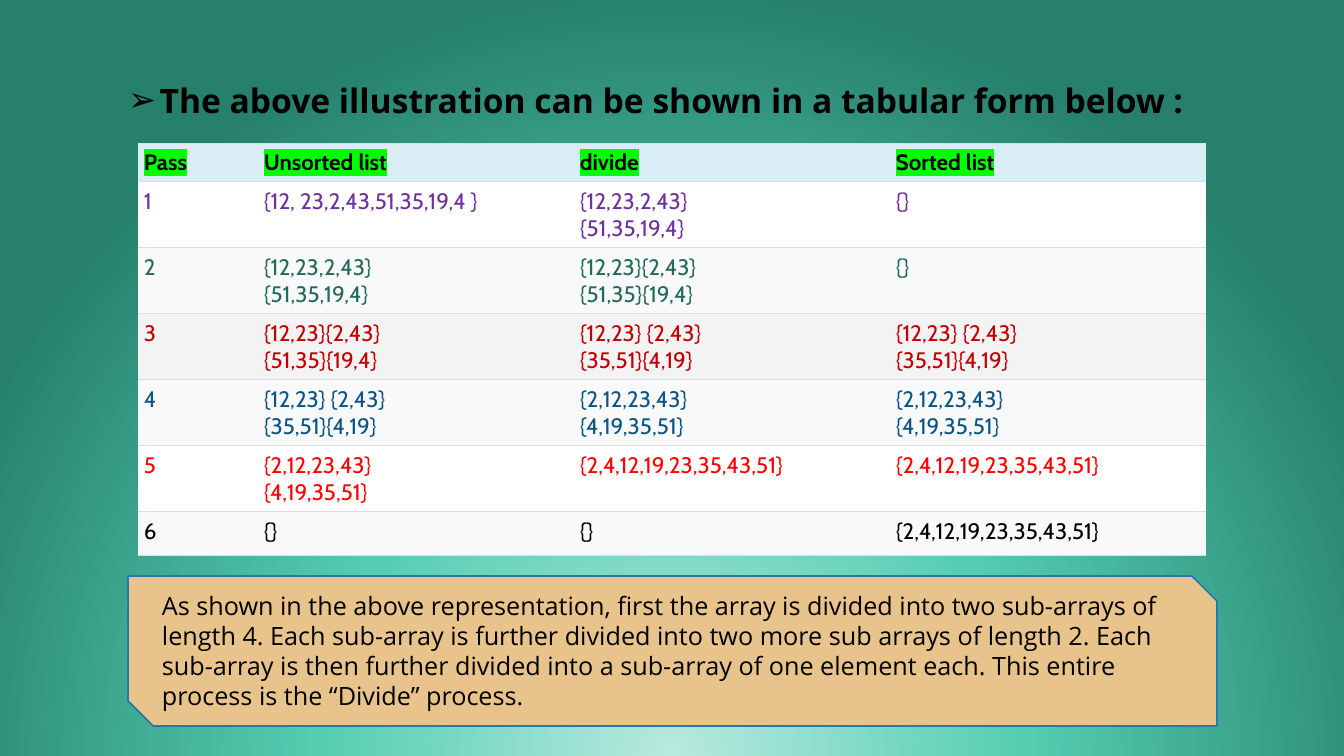
"""Build the slide that tabulates the passes of a merge sort."""
from dataclasses import dataclass

from pptx import Presentation, oxml, util as u
from pptx.dml.color import RGBColor
from pptx.enum import shapes, text
from pptx.oxml.ns import nsdecls, qn


@dataclass(frozen=True)
class Theme:
    ink: str = "000000"
    highlight: str = "00FF00"
    rule: str = "DDDDDD"
    header: str = "D9EDF7"
    note_fill: str = "E8C48C"
    note_line: str = "2379B0"
    backdrop: tuple = ((0, "B7EADE"), (46, "54CDB1"), (100, "26806C"))
    body_font: str = "Open Sans"
    table_font: str = "Cabin"
    title_size: int = 24
    note_size: int = 18
    table_size: int = 16


EMU_PER_PX = u.Inches(1) / 100.8
TITLE = "The above illustration can be shown in a tabular form below :"
NOTE = (
    "As shown in the above representation, first the array is divided into two "
    "sub-arrays of length 4. Each sub-array is further divided into two more sub "
    "arrays of length 2. Each sub-array is then further divided into a sub-array "
    "of one element each. This entire process is the “Divide” process."
)
HEADINGS = ["Pass", "Unsorted list", "divide", "Sorted list"]
HALVES = "{12,23,2,43}\n{51,35,19,4}"
QUARTERS = "{12,23}{2,43}\n{51,35}{19,4}"
SORTED_PAIRS = "{12,23} {2,43}\n{35,51}{4,19}"
SORTED_HALVES = "{2,12,23,43}\n{4,19,35,51}"
SORTED_ALL = "{2,4,12,19,23,35,43,51}"
EMPTY = "{}"
PASSES = [
    ("7030A0", "FFFFFF", ["{12, 23,2,43,51,35,19,4 }", HALVES, EMPTY]),
    ("206B5A", "F9F9F9", [HALVES, QUARTERS, EMPTY]),
    ("C00000", "F3F3F3", [QUARTERS, SORTED_PAIRS, SORTED_PAIRS]),
    ("0B5484", "F9F9F9", [SORTED_PAIRS, SORTED_HALVES, SORTED_HALVES]),
    ("FF0000", "FFFFFF", [SORTED_HALVES, SORTED_ALL, SORTED_ALL]),
    ("000000", "F9F9F9", [EMPTY, EMPTY, SORTED_ALL]),
]
COLUMN_WIDTHS = [120, 316, 316, 316]
ROW_HEIGHTS = [38, 66, 66, 66, 66, 66, 44]


def px(length):
    return u.Emu(round(length * EMU_PER_PX))


def xml(markup):
    return oxml.parse_xml(markup.replace(">", f" {nsdecls('a')}>", 1))


def write(frame, words, *, size, font, color, bold=False, highlight=None):
    para = frame.paragraphs[0]
    para.alignment = text.PP_ALIGN.LEFT
    for index, line in enumerate(words.split("\n")):
        if index:
            para.add_line_break()
        span = para.add_run()
        span.text = line
        span.font.size = u.Pt(size)
        span.font.name = font
        span.font.bold = bold
        span.font.color.rgb = RGBColor.from_string(color)
        if highlight:
            fill = span.font._element.find(qn("a:solidFill"))
            fill.addnext(xml(f'<a:highlight><a:srgbClr val="{highlight}"/></a:highlight>'))


class SlideBuilder:
    def __init__(self, deck, theme):
        self.theme = theme
        self.page = deck.slides.add_slide(deck.slide_layouts[5])

    def backdrop(self):
        self.page.background.fill.gradient()
        gradient = next(self.page.element.iter(qn("a:gradFill")))
        stops = "".join(
            f'<a:gs pos="{place * 1000}"><a:srgbClr val="{color}"/></a:gs>'
            for place, color in self.theme.backdrop
        )
        gradient.getparent().replace(gradient, xml(
            f'<a:gradFill rotWithShape="1"><a:gsLst>{stops}</a:gsLst><a:path path="circle">'
            '<a:fillToRect l="50000" t="130000" r="50000" b="-30000"/></a:path></a:gradFill>'
        ))

    def title(self, words, left, top, width, height):
        box = self.page.shapes.title
        box.left, box.top, box.width, box.height = map(px, (left, top, width, height))
        frame = box.text_frame
        frame.word_wrap = False
        frame.auto_size = text.MSO_AUTO_SIZE.SHAPE_TO_FIT_TEXT
        frame.vertical_anchor = text.MSO_ANCHOR.TOP
        layout = frame.paragraphs[0]._p.get_or_add_pPr()
        layout.set("marL", "285750")
        layout.set("indent", "-285750")
        layout.append(xml('<a:buFont typeface="Arial"/>'.replace("/>", "></a:buFont>")))
        layout.append(xml('<a:buChar char="➢"></a:buChar>'))
        write(frame, words, size=self.theme.title_size, font=self.theme.body_font,
              color=self.theme.ink, bold=True)

    def cell(self, cell, words, fill, **style):
        cell.margin_left = cell.margin_right = cell.margin_top = cell.margin_bottom = px(6)
        cell.fill.solid()
        cell.fill.fore_color.rgb = RGBColor.from_string(fill)
        rule = f'<a:solidFill><a:srgbClr val="{self.theme.rule}"/></a:solidFill>'
        edges = {"lnL": "<a:noFill/>", "lnR": "<a:noFill/>", "lnT": rule, "lnB": rule}
        for index, (edge, paint) in enumerate(edges.items()):
            cell._tc.tcPr.insert(index, xml(f'<a:{edge} w="9525">{paint}</a:{edge}>'))
        write(cell.text_frame, words, size=self.theme.table_size,
              font=self.theme.table_font, **style)

    def table(self, left, top):
        table = self.page.shapes.add_table(
            len(ROW_HEIGHTS), len(COLUMN_WIDTHS), px(left), px(top),
            px(sum(COLUMN_WIDTHS)), px(sum(ROW_HEIGHTS))).table
        table.first_row = table.horz_banding = False
        for column, width in zip(table.columns, COLUMN_WIDTHS):
            column.width = px(width)
        for row, height in zip(table.rows, ROW_HEIGHTS):
            row.height = px(height)
        for index, heading in enumerate(HEADINGS):
            cell = table.cell(0, index)
            cell.vertical_anchor = text.MSO_ANCHOR.MIDDLE
            self.cell(cell, heading, self.theme.header, color=self.theme.ink,
                      bold=True, highlight=self.theme.highlight)
        for number, (color, fill, lists) in enumerate(PASSES, 1):
            for index, words in enumerate([str(number), *lists]):
                self.cell(table.cell(number, index), words, fill, color=color)

    def note(self, words, left, top, width, height):
        group = self.page.shapes.add_group_shape()
        panel = group.shapes.add_shape(
            shapes.MSO_SHAPE.SNIP_2_DIAG_RECTANGLE, *map(px, (left, top, width, height)))
        panel.shadow.inherit = False
        panel.fill.solid()
        panel.fill.fore_color.rgb = RGBColor.from_string(self.theme.note_fill)
        panel.line.color.rgb = RGBColor.from_string(self.theme.note_line)
        panel.line.width = u.Pt(1.25)
        box = group.shapes.add_textbox(
            *map(px, (left + 24, top + 9, width - 70, height - 18)))
        box.text_frame.word_wrap = True
        box.text_frame.auto_size = text.MSO_AUTO_SIZE.SHAPE_TO_FIT_TEXT
        write(box.text_frame, words, size=self.theme.note_size,
              font=self.theme.body_font, color=self.theme.ink)


def main():
    deck = Presentation()
    deck.slide_width, deck.slide_height = px(1344), px(756)
    builder = SlideBuilder(deck, Theme())
    builder.backdrop()
    builder.title(TITLE, 118, 75, 1087, 50)
    builder.table(138, 143)
    builder.note(NOTE, 128, 576, 1089, 150)
    deck.save("out.pptx")


if __name__ == "__main__":
    main()
